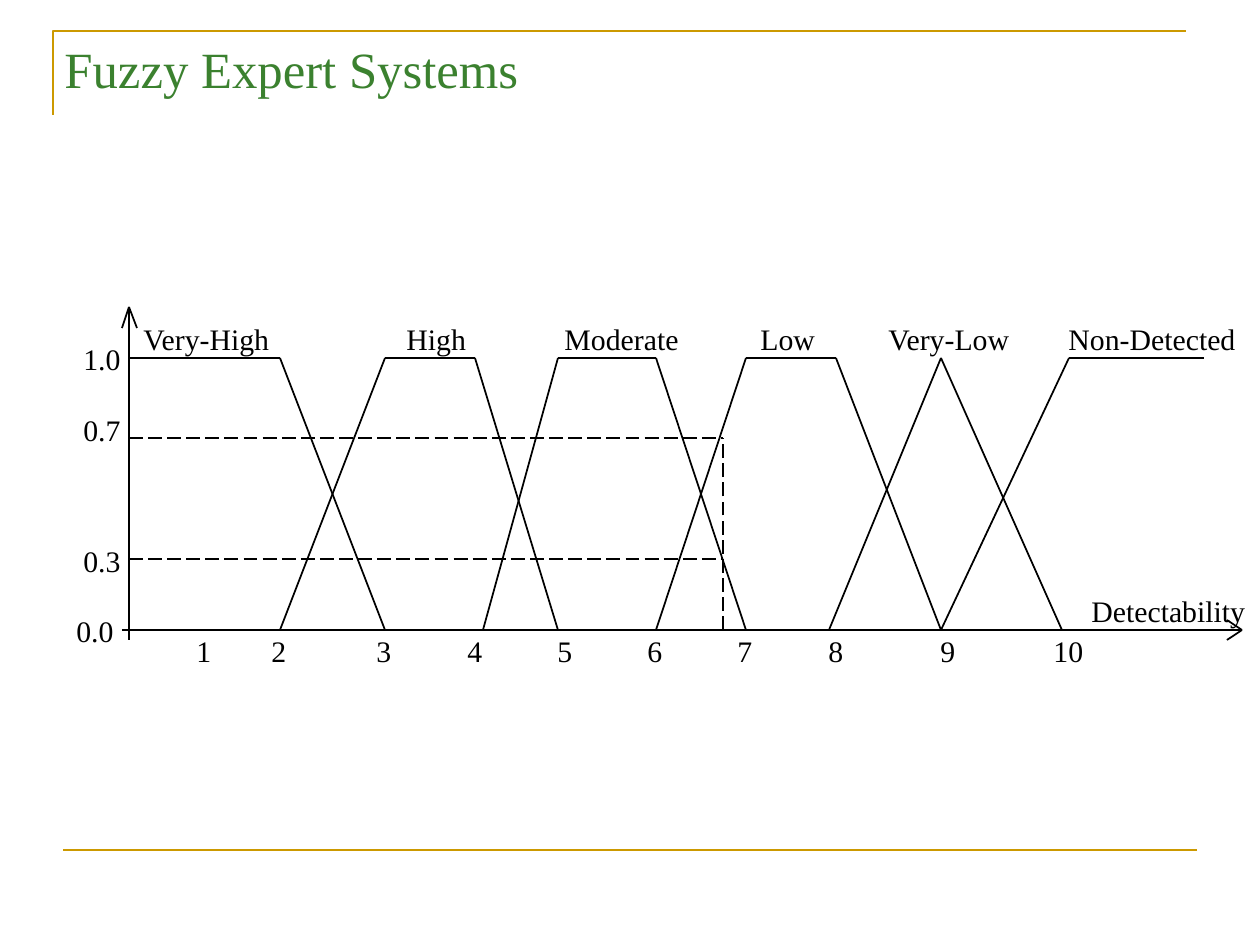
from dataclasses import dataclass
from itertools import pairwise

from lxml import etree
from pptx import Presentation
from pptx.dml.color import RGBColor
from pptx.enum.dml import MSO_LINE
from pptx.enum.shapes import MSO_CONNECTOR
from pptx.enum.text import MSO_ANCHOR, MSO_AUTO_SIZE
from pptx.oxml.ns import qn
from pptx.util import Emu, Pt

STRAIGHT = MSO_CONNECTOR.STRAIGHT
LONG_DASH = MSO_LINE.LONG_DASH
MIDDLE, TOP = MSO_ANCHOR.MIDDLE, MSO_ANCHOR.TOP
GROW, FIXED = MSO_AUTO_SIZE.SHAPE_TO_FIT_TEXT, MSO_AUTO_SIZE.NONE
BLANK_LAYOUT = 6
EMU_PER_PX = 914400 / 126

AXIS_X, BASE_Y, FULL_Y = 129, 630, 358
LABEL_HEIGHT = 48
SET_LABEL_TOP, TICK_TOP, TICK_WIDTH, VALUE_WIDTH = 315, 627, 41, 64


@dataclass(frozen=True)
class Theme:
    font: str = "Times New Roman"
    ink: str = "000000"
    title: str = "3B812F"
    accent: str = "CC9900"
    title_size: int = 29
    label_size: int = 17
    thin: float = 1
    thick: float = 1.5


# label, left, width, corner points of the membership function
FUZZY_SETS = [
    ("Very-High", 131, 155, [(AXIS_X, FULL_Y), (280, FULL_Y), (385, BASE_Y)]),
    ("High", 394, 87, [(280, BASE_Y), (385, FULL_Y), (475, FULL_Y), (558, BASE_Y)]),
    ("Moderate", 552, 142, [(483, BASE_Y), (558, FULL_Y), (656, FULL_Y), (746, BASE_Y)]),
    ("Low", 748, 82, [(656, BASE_Y), (746, FULL_Y), (836, FULL_Y), (941, BASE_Y)]),
    ("Very-Low", 876, 149, [(829, BASE_Y), (941, FULL_Y), (1062, BASE_Y)]),
    ("Non-Detected", 1056, 194, [(941, BASE_Y), (1069, FULL_Y), (1204, FULL_Y)]),
]
TICK_LEFTS = [184, 259, 364, 455, 545, 635, 725, 816, 928, 1041]
VALUE_LABELS = [("1.0", 71, 335), ("0.7", 71, 406), ("0.3", 71, 537), ("0.0", 64, 607)]
AXES = [
    [(AXIS_X, 640), (AXIS_X, 307)],
    [(122, 328), (AXIS_X, 307), (137, 328)],
    [(122, BASE_Y), (1242, BASE_Y)],
    [(1227, 620), (1242, BASE_Y), (1227, 640)],
]
READING_X = 723
READINGS = [
    [(AXIS_X, 559), (READING_X, 559)],
    [(AXIS_X, 438), (READING_X, 438)],
    [(READING_X, BASE_Y), (READING_X, 438)],
]


def px(length):
    return Emu(round(length * EMU_PER_PX))


class SlideBuilder:
    def __init__(self, slide, theme):
        self.slide = slide
        self.theme = theme

    def style_line(self, line, color, width):
        line.color.rgb = RGBColor.from_string(color)
        line.width = Pt(width)

    def lines(self, points, color=None, width=None, dash=None):
        """Join consecutive points with straight connectors."""
        for start, end in pairwise(points):
            connector = self.slide.shapes.add_connector(
                STRAIGHT, *map(px, start), *map(px, end))
            self.style_line(connector.line, color or self.theme.ink,
                            width or self.theme.thin)
            if dash:
                connector.line.dash_style = dash
            properties = connector._element.spPr
            etree.SubElement(properties, qn("a:effectLst"))

    def outline(self, points, color, width):
        """Draw an open, unfilled outline through the points."""
        first, *rest = [tuple(map(px, point)) for point in points]
        builder = self.slide.shapes.build_freeform(*first, scale=1.0)
        builder.add_line_segments(rest, close=False)
        shape = builder.convert_to_shape()
        shape.shadow.inherit = False
        shape.fill.background()
        self.style_line(shape.line, color, width)

    def text(self, text, left, top, width, height=LABEL_HEIGHT, *, size=None,
             color=None, wrap=False, anchor=TOP):
        box = self.slide.shapes.add_textbox(*map(px, (left, top, width, height)))
        frame = box.text_frame
        frame.word_wrap = wrap
        frame.auto_size = FIXED if wrap else GROW
        frame.vertical_anchor = anchor
        run = frame.paragraphs[0].add_run()
        run.text = text
        run.font.name = self.theme.font
        run.font.size = Pt(size or self.theme.label_size)
        run.font.color.rgb = RGBColor.from_string(color or self.theme.ink)


def main():
    presentation = Presentation()
    presentation.slide_width, presentation.slide_height = px(1260), px(945)
    slide = presentation.slides.add_slide(presentation.slide_layouts[BLANK_LAYOUT])
    theme = Theme()
    builder = SlideBuilder(slide, theme)

    builder.outline([(53, 115), (53, 31), (1186, 31)], theme.accent, theme.thick)
    builder.lines([(63, 850), (1197, 850)], theme.accent, theme.thick)
    builder.text("Fuzzy Expert Systems", 52, 32, 1067, 73, size=theme.title_size,
                 color=theme.title, wrap=True, anchor=MIDDLE)

    for axis in AXES:
        builder.lines(axis)
    for label, left, width, corners in FUZZY_SETS:
        builder.lines(corners)
        builder.text(label, left, SET_LABEL_TOP, width)
    for reading in READINGS:
        builder.lines(reading, dash=LONG_DASH)

    for number, left in enumerate(TICK_LEFTS, start=1):
        builder.text(str(number), left, TICK_TOP, 56 if number == 10 else TICK_WIDTH)
    for label, left, top in VALUE_LABELS:
        builder.text(label, left, top, VALUE_WIDTH)
    builder.text("Detectability", 1079, 587, 180)

    presentation.save("out.pptx")


if __name__ == "__main__":
    main()
